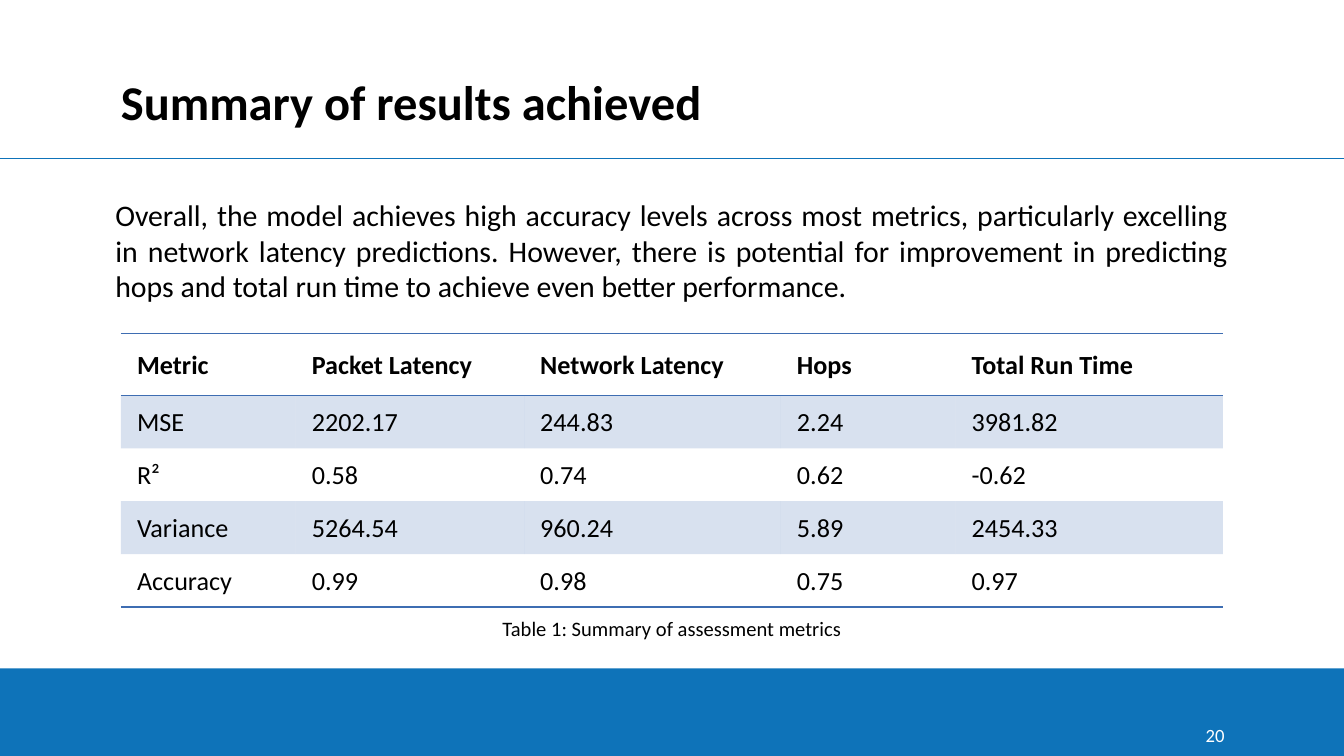
from lxml import etree
from pptx import Presentation, util as u
from pptx.dml.color import RGBColor
from pptx.enum import shapes, text
from pptx.oxml import ns

WIDTH = u.Inches(10)
HEIGHT = WIDTH * 9 // 16
FONT = "Calibri"
BLUE = RGBColor(0x0E, 0x73, 0xB9)
TABLE_BLUE = RGBColor(0x3E, 0x6D, 0xB2)
BLACK = RGBColor(0, 0, 0)
WHITE = RGBColor(0xFF, 0xFF, 0xFF)
PLAIN_TABLE_STYLE = "{2D5ABB26-0587-4C30-8999-92F81FD0307C}"

SUMMARY = (
    "Overall, the model achieves high accuracy levels across most metrics, "
    "particularly excelling in network latency predictions. However, there is "
    "potential for improvement in predicting hops and total run time to achieve "
    "even better performance."
)
METRICS = [
    ["Metric", "Packet Latency", "Network Latency", "Hops", "Total Run Time"],
    ["MSE", "2202.17", "244.83", "2.24", "3981.82"],
    ["R²", "0.58", "0.74", "0.62", "-0.62"],
    ["Variance", "5264.54", "960.24", "5.89", "2454.33"],
    ["Accuracy", "0.99", "0.98", "0.75", "0.97"],
]
COLUMN_SHARES = [13, 17, 19.1, 13, 19.9]
HEADER_SHARE, ROW_SHARE = 8.2, 7


def across(percent):
    return round(WIDTH * percent / 100)


def down(percent):
    return round(HEIGHT * percent / 100)


def area(left, top, width, height):
    """Turn percentages of the slide into a position and a size."""
    return across(left), down(top), across(width), down(height)


def style_runs(frame, size, color=BLACK, bold=False):
    for para in frame.paragraphs:
        for span in para.runs:
            span.font.name = FONT
            span.font.size = u.Pt(size)
            span.font.bold = bold
            span.font.color.rgb = color


def set_margins(target, left, top, right, bottom):
    target.margin_left, target.margin_top = u.Inches(left), u.Inches(top)
    target.margin_right, target.margin_bottom = u.Inches(right), u.Inches(bottom)


def add_text(page, place, words, size, align=text.PP_ALIGN.LEFT,
             anchor=text.MSO_ANCHOR.TOP, inset=(0, 0, 0, 0), **look):
    frame = page.shapes.add_textbox(*place).text_frame
    frame.word_wrap = True
    frame.vertical_anchor = anchor
    set_margins(frame, *inset)
    frame.text = words
    frame.paragraphs[0].alignment = align
    style_runs(frame, size, **look)


def add_footer_band(page, place):
    band = page.shapes.add_shape(shapes.MSO_SHAPE.RECTANGLE, *place)
    band.shadow.inherit = False
    band.fill.solid()
    band.fill.fore_color.rgb = BLUE
    band.line.fill.background()


def add_rule(page, top):
    rule = page.shapes.add_connector(
        shapes.MSO_CONNECTOR.STRAIGHT, 0, down(top), WIDTH, down(top))
    rule.line.color.rgb = BLUE
    rule.line.width = u.Pt(0.75)
    etree.SubElement(rule.element.spPr, ns.qn("a:effectLst"))


def fill_cell(cell, opacity):
    cell.fill.solid()
    cell.fill.fore_color.rgb = TABLE_BLUE
    color = next(cell._tc.tcPr.iter(ns.qn("a:srgbClr")))
    etree.SubElement(color, ns.qn("a:alpha"), val=str(opacity * 1000))


def add_borders(cell, sides):
    """Draw 1 pt lines on the named sides, which precede the fill in the XML."""
    for position, side in enumerate(sides):
        line = etree.Element(ns.qn(f"a:ln{side}"), w=str(u.Pt(1)))
        fill = etree.SubElement(line, ns.qn("a:solidFill"))
        etree.SubElement(fill, ns.qn("a:srgbClr"), val=str(TABLE_BLUE))
        cell._tc.get_or_add_tcPr().insert(position, line)


def add_metrics_table(page, left, top):
    last = len(METRICS) - 1
    row_shares = [HEADER_SHARE] + [ROW_SHARE] * last
    place = area(left, top, sum(COLUMN_SHARES), sum(row_shares))
    holder = page.shapes.add_table(len(METRICS), len(COLUMN_SHARES), *place)
    next(holder.element.iter(ns.qn("a:tableStyleId"))).text = PLAIN_TABLE_STYLE
    table = holder.table
    table.horz_banding = False
    for column, share in zip(table.columns, COLUMN_SHARES):
        column.width = across(share)
    borders = {0: "TB", last: "B"}
    for r, values in enumerate(METRICS):
        table.rows[r].height = down(row_shares[r])
        for c, value in enumerate(values):
            cell = table.cell(r, c)
            cell.text = value
            cell.vertical_anchor = text.MSO_ANCHOR.MIDDLE
            set_margins(cell, 0.12, 0.01, 0.01, 0)
            style_runs(cell.text_frame, 14, bold=r == 0)
            if r % 2:
                fill_cell(cell, 20)
            else:
                cell.fill.background()
            add_borders(cell, borders.get(r, ""))


def main():
    deck = Presentation()
    deck.slide_width, deck.slide_height = WIDTH, HEIGHT
    page = deck.slides.add_slide(deck.slide_layouts[6])

    add_footer_band(page, area(0, 88.4, 100, 11.6))
    add_rule(page, 21)
    add_text(page, area(9, 9.07, 82, 8.2), "Summary of results achieved", 26,
             anchor=text.MSO_ANCHOR.BOTTOM, bold=True)
    add_text(page, area(87.9, 95, 3.2, 3.7), "20", 10, text.PP_ALIGN.RIGHT,
             text.MSO_ANCHOR.BOTTOM, color=WHITE)
    add_metrics_table(page, 9, 44.1)
    add_text(page, area(7.6, 25.1, 84.8, 16.2), SUMMARY, 16,
             text.PP_ALIGN.JUSTIFY, inset=(0.1, 0.05, 0.1, 0.05))
    add_text(page, area(35.45, 81.5, 29.1, 6),
             "Table 1: Summary of assessment metrics", 11, text.PP_ALIGN.CENTER)
    deck.save("out.pptx")


if __name__ == "__main__":
    main()
